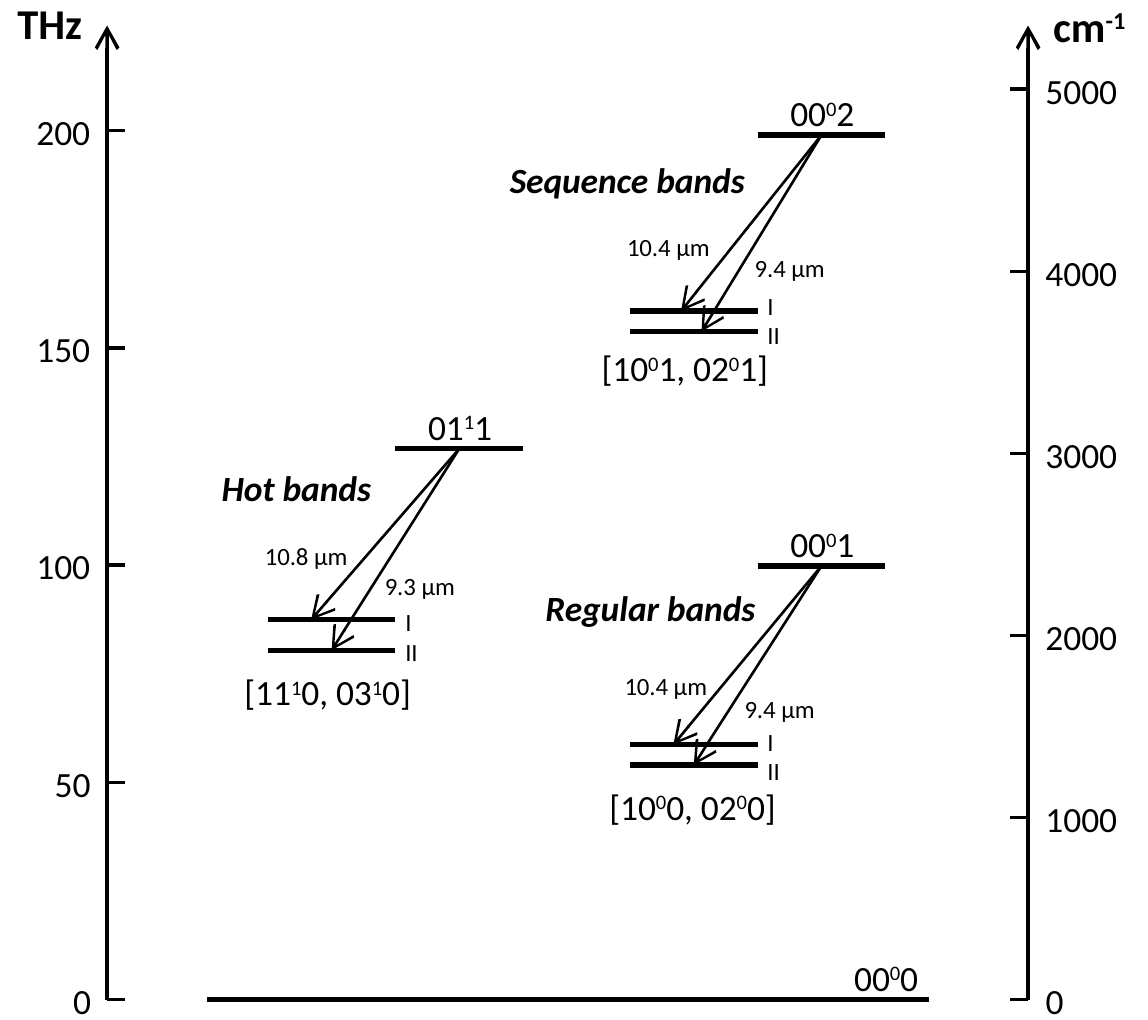
"""Energy level diagram with two axes and three groups of laser bands."""
from dataclasses import dataclass

from lxml import etree
from pptx import Presentation
from pptx import util as u
from pptx.dml.color import RGBColor
from pptx.enum import shapes, text
from pptx.oxml import ns

BLACK = RGBColor(0x00, 0x00, 0x00)
FONT = "Calibri"
COLUMNS, ROWS = 45, 40
CELL = u.Inches(0.1)
GROUND = 39.2
LEVEL = 5


@dataclass
class Band:
    """Two transitions from one upper level to a split lower level."""
    title: str
    title_at: tuple
    upper: str
    upper_row: float
    lower: str
    lower_at: tuple
    lower_column: float
    lower_rows: tuple
    target_column: float
    waves: tuple
    numerals_row: float


BANDS = [
    Band("Hot bands", (7.7, 17.8, 7.9), "01^1^1", 17.6,
         "[11^1^0, 03^1^0]", (8.6, 25.8), 10.5, (24.3, 25.5), 12.2,
         (("10.8 µm", 9.4, 20.7, 5.3), ("9.3 µm", 14.1, 21.9, 4.8)), 23.3),
    Band("Sequence bands", (19, 5.7, 11.5), "00^0^2", 5.3,
         "[10^0^1, 02^0^1]", (22.6, 13.1), 24.7, (12.2, 13), 26.7,
         (("10.4 µm", 23.6, 8.6, 5.3), ("9.4 µm", 28.6, 9.4, 4.8)), 10.9),
    Band("Regular bands", (20.4, 22.5, 10.4), "00^0^1", 22.2,
         "[10^0^0, 02^0^0]", (22.9, 30.3), 24.7, (29.2, 30), 26.4,
         (("10.4 µm", 23.5, 25.8, 5.3), ("9.4 µm", 28.2, 26.7, 4.8)), 28),
]


def cells(*counts):
    """Turn grid counts into lengths."""
    return [u.Emu(round(count * CELL)) for count in counts]


def add_line(page, start, end, width, arrow=False):
    """Draw a black line, with an open arrowhead at its end if asked."""
    line = page.shapes.add_connector(
        shapes.MSO_CONNECTOR.STRAIGHT, *cells(*start, *end))
    line.line.color.rgb = BLACK
    line.line.width = u.Pt(width)
    if arrow:
        etree.SubElement(line.line._get_or_add_ln(),
                         ns.qn("a:tailEnd"), type="arrow")
    etree.SubElement(line._element.spPr, ns.qn("a:effectLst"))


def add_label(page, words, left, top, width, height=2.7, size=10,
              bold=False, italic=False):
    """Add a label; carets enclose superscripts and newlines split paragraphs."""
    box = page.shapes.add_textbox(*cells(left, top, width, height))
    frame = box.text_frame
    frame.word_wrap = False
    frame.auto_size = text.MSO_AUTO_SIZE.SHAPE_TO_FIT_TEXT
    for number, content in enumerate(words.split("\n")):
        para = frame.add_paragraph() if number else frame.paragraphs[0]
        font = para.font
        font.name, font.size = FONT, u.Pt(size)
        font.bold, font.italic = bold, italic
        font.color.rgb = BLACK
        for index, part in enumerate(content.split("^")):
            if not part:
                continue
            span = para.add_run()
            span.text = part
            if index % 2:
                span.font._element.set("baseline", "30000")


def add_axis(page, column, tick, pitch, values, label_edge, right_aligned):
    """Draw an upward axis with evenly spaced ticks and their values."""
    add_line(page, (column, GROUND), (column, 1), 1, arrow=True)
    for step, value in enumerate(values):
        row = GROUND - step * pitch
        add_line(page, (column, row), (column + tick, row), 1)
        width = 2 + 0.72 * len(str(value))
        left = label_edge - width if right_aligned else label_edge
        add_label(page, str(value), left, row - 1.3, width)


def add_level(page, column, row, length=LEVEL):
    """Draw one horizontal energy level."""
    add_line(page, (column, row), (column + length, row), 1.5)


def add_band(page, band):
    """Draw the levels, transitions and labels of one band group."""
    upper_column = band.lower_column + LEVEL
    add_level(page, upper_column, band.upper_row)
    start = (upper_column + LEVEL / 2, band.upper_row)
    for index, row in enumerate(band.lower_rows):
        add_level(page, band.lower_column, row)
        end = (band.target_column + 0.8 * index, row)
        add_line(page, start, end, 0.75, arrow=True)

    left, top, width = band.title_at
    add_label(page, band.title, left, top, width, bold=True, italic=True)
    add_label(page, band.upper, upper_column + 0.3, band.upper_row - 2.2, 4.6)
    add_label(page, band.lower, *band.lower_at, 8.8)
    for wave in band.waves:
        add_label(page, *wave, height=2.2, size=7)
    add_label(page, "I\nII", upper_column - 0.6, band.numerals_row, 2.5,
              height=3.4, size=7)


def main():
    """Build and save the slide."""
    deck = Presentation()
    deck.slide_width, deck.slide_height = cells(COLUMNS, ROWS)
    page = deck.slides.add_slide(deck.slide_layouts[6])

    add_level(page, 8.1, GROUND, 28.3)
    add_label(page, "00^0^0", 32.5, 37, 4.6)
    for band in BANDS:
        add_band(page, band)

    add_axis(page, 4.2, 0.7, 8.52, range(0, 201, 50), 4.6, True)
    add_axis(page, 40.3, -0.7, 7.14, range(0, 5001, 1000), 40, False)
    add_label(page, "THz", -0.3, -0.6, 4.6, height=3, size=12, bold=True)
    add_label(page, "cm^-1^", 40.3, -0.5, 5, height=3, size=12, bold=True)

    deck.save("out.pptx")


main()
